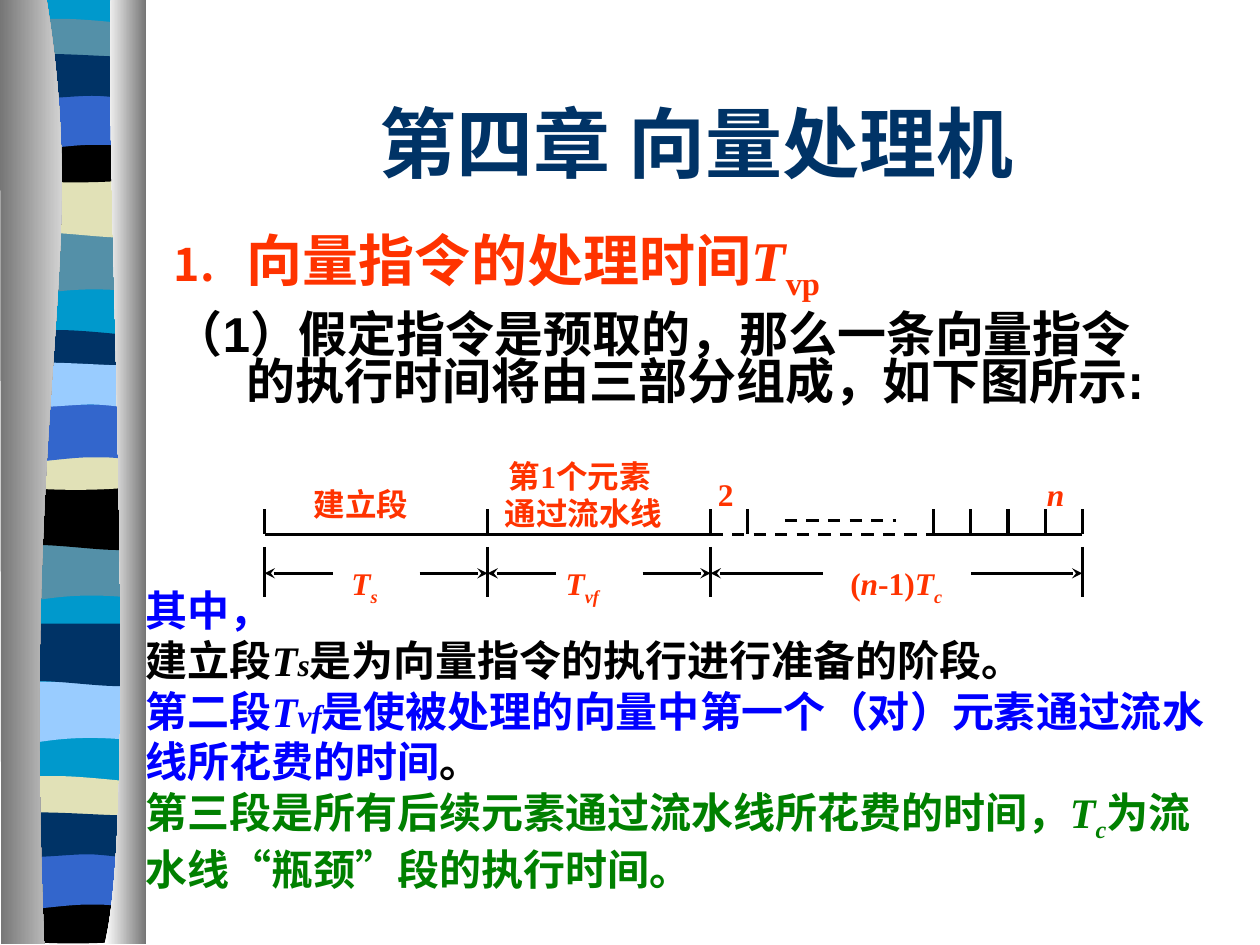
"""Build the slide on the time of a vector instruction."""
import pptx
import pptx.dml.color
import pptx.enum.dml
import pptx.enum.shapes
import pptx.enum.text
import pptx.oxml.ns
import pptx.util
from dataclasses import dataclass

Inches = pptx.util.Inches
Pt = pptx.util.Pt
Align = pptx.enum.text.PP_ALIGN
qn = pptx.oxml.ns.qn


@dataclass
class Theme:
    navy: str = "003366"
    sky: str = "0099CC"
    teal: str = "5490A8"
    sand: str = "E1E1B7"
    royal: str = "3366CC"
    pale: str = "99CCFF"
    black: str = "000000"
    white: str = "FFFFFF"
    gray: str = "767676"
    red: str = "FF3300"
    blue: str = "0000FF"
    green: str = "008000"
    sans: str = "Arial"
    serif: str = "Times New Roman"
    head: str = "Noto Sans CJK SC"
    title: int = 44
    topic: int = 32
    body: int = 28
    note: int = 24
    label: int = 18
    line: float = 1.75


BANDS = {
    "wave": [(1.05, 0), (1.05, .47), (.33, .39, .18, .55, 0, .47), (0, 0)],
    "dune": [(1.05, 0), (1.05, .47), (.87, .55, .32, .41, 0, .47), (0, 0)],
    "thin": [(1.05, .05), (1.05, .29), (.87, .33, .17, .33, 0, .29), (0, .05),
             (.06, 0, .23, 0, .4, 0), (.58, 0, .92, .04, 1.05, .05)],
    "dip": [(1.05, 0), (1.05, .33), (.87, .38, .17, .38, 0, .33), (0, 0),
            (.65, .05, .84, 0, 1.05, 0)],
    "arch": [(1.05, 0), (1.05, .47), (.89, .42, .82, .42, .64, .42),
             (.47, .42, .16, .47, 0, .47), (0, 0)],
    "swell": [(1.05, .05), (1.05, .36), (.98, .41, .82, .36, .64, .36),
              (.47, .36, .11, .41, 0, .36), (0, .05),
              (.15, 0, .71, .05, .89, .05), (1.06, .05, 1.02, .05, 1.05, .05)],
}


def color(code):
    return pptx.dml.color.RGBColor.from_string(code)


class Deck:
    """Hold the theme and the current slide."""

    def __init__(self, theme):
        self.theme = theme
        self.prs = pptx.Presentation()
        self.prs.slide_width, self.prs.slide_height = Inches(10), Inches(7.5)
        self.slide = self.prs.slides.add_slide(self.prs.slide_layouts[1])
        self.shapes = self.slide.shapes

    def group(self):
        group = self.slide.shapes.add_group_shape()
        self.shapes = group.shapes
        return group

    def close(self):
        self.shapes = self.slide.shapes

    def free(self, steps, *fill, left=0, top=0):
        pts = [(Inches(left + x), Inches(top + y))
               for step in steps for x, y in zip(step[::2], step[1::2])]
        build = self.shapes.build_freeform(*pts[0])
        build.add_line_segments(pts[1:])
        shape = build.convert_to_shape()
        lines = iter(list(shape._element.iter(qn("a:lnTo"))))
        for step in steps[1:]:
            first = next(lines)
            if len(step) == 6:
                first.tag = qn("a:cubicBezTo")
                for more in (next(lines), next(lines)):
                    first.append(more[0])
                    more.getparent().remove(more)
        shape.shadow.inherit = False
        shape.line.fill.background()
        if len(fill) == 1:
            shape.fill.solid()
            shape.fill.fore_color.rgb = color(fill[0])
            return
        shape.fill.gradient()
        shape.fill.gradient_angle = 0
        for stop, code in zip(shape.fill.gradient_stops, fill):
            stop.color.rgb = color(code)

    def line(self, x1, y1, x2, y2, dash=False, arrow=False):
        kind = pptx.enum.shapes.MSO_CONNECTOR.STRAIGHT
        link = self.shapes.add_connector(kind, *map(Inches, (x1, y1, x2, y2)))
        link.line.width = Pt(self.theme.line)
        link.line.color.rgb = color(self.theme.black)
        if dash:
            link.line.dash_style = pptx.enum.dml.MSO_LINE.DASH
        props = link._element.spPr
        if arrow:
            end = props.find(qn("a:ln"))
            end.append(end.makeelement(qn("a:tailEnd"), {"type": "stealth"}))
        props.append(props.makeelement(qn("a:effectLst")))

    def para(self, para, runs, size, code, name, align=None, space=None):
        font = para.font
        font.size, font.bold, font.name = Pt(size), True, name
        font.color.rgb = color(code)
        para.alignment, para.line_spacing = align, space
        for text, *style in runs:
            run = para.add_run()
            run.text = text
            for key, value in (style[0] if style else {}).items():
                if key == "base":
                    run._r.get_or_add_rPr().set("baseline", str(value * 1000))
                elif key == "color":
                    run.font.color.rgb = color(value)
                else:
                    setattr(run.font, key, value)

    def place(self, holder, box):
        holder.left, holder.top, holder.width, holder.height = map(Inches, box)
        return holder.text_frame

    def title(self, box, text):
        t = self.theme
        frame = self.place(self.slide.shapes.title, box)
        frame.vertical_anchor = pptx.enum.text.MSO_ANCHOR.MIDDLE
        self.para(frame.paragraphs[0], [(text,)], t.title, t.navy, t.head, Align.CENTER)

    def body(self, box, items):
        frame = self.place(self.slide.placeholders[1], box)
        for i, (runs, size, code, space, gap, mark) in enumerate(items):
            para = frame.add_paragraph() if i else frame.paragraphs[0]
            self.para(para, runs, size, code, self.theme.sans, space=space)
            para.space_before = Pt(gap)
            props = para._p.get_or_add_pPr()
            props.set("marL", str(Inches(.58)))
            props.set("indent", str(Inches(-.58)))
            spot = props.index(props.find(qn("a:defRPr")))
            for tag, bits in reversed(mark):
                props.insert(spot, props.makeelement(qn(tag), bits))

    def text(self, box, items, align=None, space=None):
        frame = self.shapes.add_textbox(*map(Inches, box)).text_frame
        frame.word_wrap = True
        for i, item in enumerate(items):
            para = frame.add_paragraph() if i else frame.paragraphs[0]
            self.para(para, *item, align, space)

    def label(self, box, *runs):
        t = self.theme
        self.text(box, [(runs, t.label, t.red, t.serif)], Align.JUSTIFY, 1.6)


def strip(deck):
    t = deck.theme
    group = deck.group()
    deck.free([(1.14, 0), (1.14, 7.47), (.09, 7.47), (.09, 0)], t.sky)
    for kind, left, top, fill in (
        ("wave", .08, 1.85, t.teal), ("dune", .1, 1.39, t.sand), ("thin", .1, .15, t.teal),
        ("dip", .08, 1.08, t.black), ("arch", .09, .73, t.royal), ("swell", .09, .4, t.navy),
        ("wave", .06, 4.28, t.teal), ("dune", .07, 3.87, t.black), ("thin", .08, 2.62, t.navy),
        ("dip", .08, 3.52, t.sand), ("arch", .08, 3.21, t.royal), ("swell", .08, 2.85, t.pale),
        ("wave", .05, 5.41, t.pale), ("dune", .07, 4.95, t.navy), ("thin", .06, 6.16, t.sand),
        ("dip", .06, 7.12, t.black), ("arch", .05, 6.76, t.royal), ("swell", .05, 6.42, t.navy),
    ):
        deck.free(BANDS[kind], fill, left=left, top=top)
    deck.free([(.37, 0), (.72, 2.16, .17, 2.96, .35, 7.49), (.01, 7.49), (0, 0)],
              t.gray, t.white)
    deck.free([(.88, 0), (.83, 1.25, 1.11, 6.46, .83, 7.49), (1.16, 7.49), (1.16, 0)],
              t.white, t.gray)
    deck.prs.slide_master.shapes._spTree.insert(2, group._element)
    deck.close()


def chart(deck):
    deck.group()
    left, step = 2.1, .295
    grid = [left + step * k for k in range(23)]
    for k in (0, 6, 12, 13, 18, 19, 20, 21, 22):
        deck.line(grid[k], 4.04, grid[k], 4.24)
    for k in (0, 6, 12, 22):
        deck.line(grid[k], 4.34, grid[k], 4.74)
    for a, b, y, dash in ((0, 12, 4.24, False), (12, 18, 4.24, True),
                          (18, 22, 4.24, False), (14, 17, 4.13, True)):
        deck.line(grid[a], y, grid[b], y, dash=dash)
    for k, size in ((0, .54), (6, -.54), (6, .54), (12, -.54), (12, .89), (22, -.88)):
        deck.line(grid[k] + size, 4.55, grid[k], 4.55, arrow=True)
    slant, sub = {"italic": True}, {"italic": True, "base": -25}
    deck.label((8.21, 3.54, .53, .61), ("n", slant))
    deck.label((2.39, 3.62, 1.48, .56), ("建立段",))
    deck.label((3.94, 3.4, 1.95, .61), ("第1个元素",))
    deck.label((3.91, 3.69, 1.96, .61), ("通过流水线",))
    deck.label((5.6, 3.54, .46, .61), ("2",))
    deck.label((2.69, 4.22, .89, .61), ("T", slant), ("s", sub))
    deck.label((4.39, 4.22, .89, .61), ("T", slant), ("vf", sub))
    deck.label((6.65, 4.22, 1.36, .61), ("(",), ("n", slant), ("-1)",), ("T", slant), ("c", sub))
    deck.close()


def main():
    t = Theme()
    deck = Deck(t)
    strip(deck)
    deck.title((1.28, .5, 8.5, 1.25), "第四章 向量处理机")
    count = [("a:buSzPct", {"val": "80000"}), ("a:buFont", {"typeface": t.sans}),
             ("a:buAutoNum", {"type": "arabicPeriod"})]
    deck.body((1.28, 1.68, 8.15, 1.72), [
        ([("向量指令的处理时间",), ("T", {"name": t.serif, "italic": True}),
          ("vp", {"name": t.serif, "base": -25})], t.topic, t.red, 1.1, 0, count),
        ([("（1）假定指令是预取的，那么一条向量指令的执行时间将由三部分组成，如下图所示:",)],
         t.body, t.black, .8, 7, [("a:buNone", {})]),
    ])
    chart(deck)
    slant, small = {"italic": True}, {"italic": True, "size": Pt(t.label)}
    deck.text((1.06, 4.59, 8.74, 2.56), [
        ([("其中，",)], t.note, t.blue, t.sans),
        ([("建立段",), ("T", slant), ("s", small), ("是为向量指令的执行进行准备的阶段。",)],
         t.note, t.black, t.serif),
        ([("第二段",), ("T", slant), ("vf", small),
          ("是使被处理的向量中第一个（对）元素通过流水线所花费的时间",),
          ("。", {"color": t.black})], t.note, t.blue, t.serif),
        ([("第三段是所有后续元素通过流水线所花费的时间，",), ("T", slant),
          ("c", {"italic": True, "base": -25}), ("为流水线“瓶颈”段的执行时间。",)],
         t.note, t.green, t.serif),
    ])
    deck.prs.save("out.pptx")


if __name__ == "__main__":
    main()
